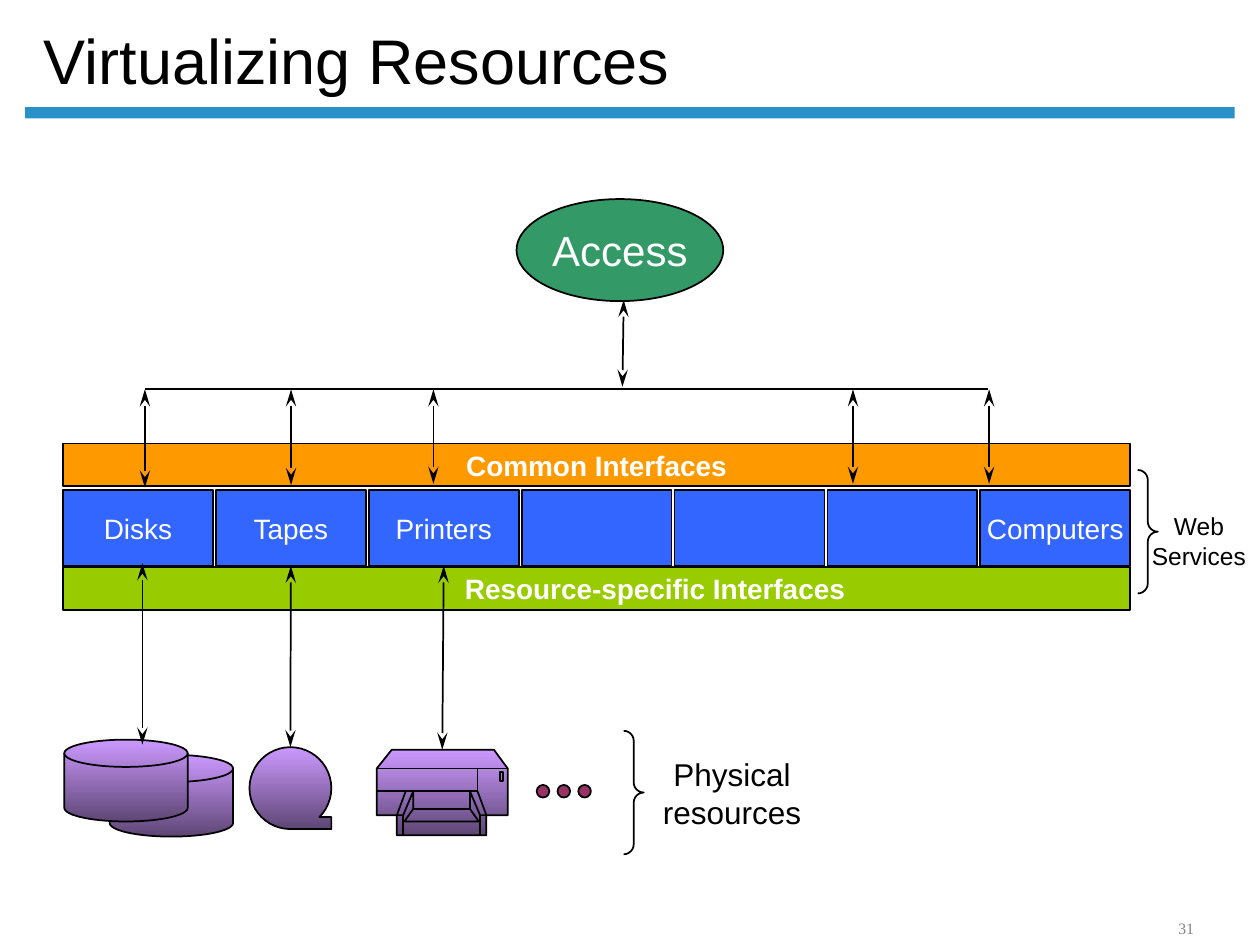
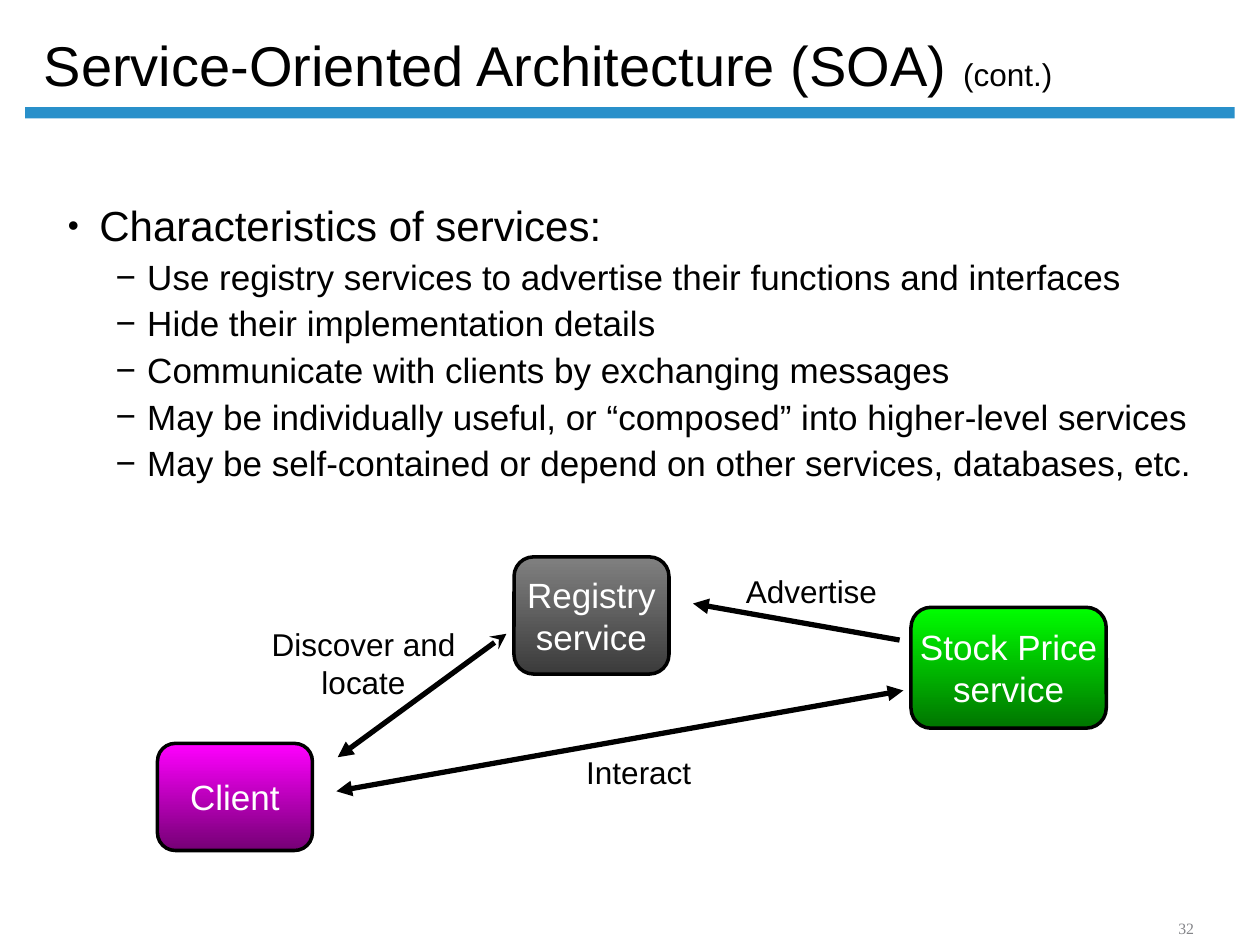
from copy import deepcopy

from lxml import etree
from pptx import Presentation
from pptx.dml.color import RGBColor
from pptx.enum.shapes import MSO_CONNECTOR, MSO_SHAPE
from pptx.enum.text import MSO_ANCHOR, MSO_AUTO_SIZE, PP_ALIGN
from pptx.oxml.ns import qn
from pptx.util import Inches, Pt

STRAIGHT = MSO_CONNECTOR.STRAIGHT
RECT = MSO_SHAPE.RECTANGLE
ROUND_RECT = MSO_SHAPE.ROUNDED_RECTANGLE
ELLIPSE = MSO_SHAPE.OVAL
DISK = MSO_SHAPE.FLOWCHART_MAGNETIC_DISK
TAPE = MSO_SHAPE.FLOWCHART_SEQUENTIAL_ACCESS_STORAGE
BRACE = MSO_SHAPE.RIGHT_BRACE
TOP, MIDDLE, BOTTOM = MSO_ANCHOR.TOP, MSO_ANCHOR.MIDDLE, MSO_ANCHOR.BOTTOM
FIT_TEXT = MSO_AUTO_SIZE.SHAPE_TO_FIT_TEXT
LEFT, CENTER = PP_ALIGN.LEFT, PP_ALIGN.CENTER

COLORS = {
    "black": "000000", "white": "FFFFFF", "band": "2990CA", "number": "848589",
    "access": "339966", "specific": "99CC00", "common": "FF9900",
    "resource": "3366FF", "dot": "993366",
    "device": ("CC99FF", "5E4675"), "stock": ("00FF00", "007500"),
    "registry": ("808080", "3B3B3B"), "client": ("FF00FF", "750075"),
}
TEXT_INSETS = (0.1, 0.05)

CHARACTERISTICS = [
    "Use registry services to advertise their functions and interfaces",
    "Hide their implementation details",
    "Communicate with clients by exchanging messages",
    "May be individually useful, or “composed” into higher-level services",
    "May be self-contained or depend on other services, databases, etc.",
]
PRINTER_OUTLINE = [
    (3.11, 5.95), (3.92, 5.95), (4.03, 6.1), (4.03, 6.47), (3.86, 6.47),
    (3.86, 6.63), (3.15, 6.63), (3.15, 6.47), (2.99, 6.47), (2.99, 6.1),
    (3.11, 5.95),
]
PRINTER_DETAILS = [
    [(2.99, 6.1), (4.03, 6.1)],
    [(3.79, 6.1), (3.79, 6.28), (2.99, 6.28)],
    [(3.2, 6.47), (3.2, 6.63)],
    [(3.81, 6.47), (3.81, 6.63)],
    [(3.73, 6.42), (3.73, 6.28), (3.81, 6.47), (3.86, 6.47), (3.79, 6.28)],
    [(3.73, 6.42), (3.8, 6.52), (3.21, 6.52), (3.28, 6.42), (3.28, 6.28),
     (3.2, 6.47), (3.15, 6.47), (3.22, 6.28)],
    [(3.97, 6.13), (3.99, 6.13), (3.99, 6.2), (3.97, 6.2), (3.97, 6.13)],
    [(3.28, 6.42), (3.73, 6.42)],
]


def rgb(name):
    """Return the named colour."""
    return RGBColor.from_string(COLORS[name])


def paint(sp, fill=None, line="black", width=1):
    """Set the fill and line of a shape and drop its shadow."""
    sp.shadow.inherit = False
    if fill is None:
        sp.fill.background()
    elif isinstance(COLORS[fill], tuple):
        sp.fill.gradient()
        sp.fill.gradient_angle = 270
        for stop, value in zip(sp.fill.gradient_stops, COLORS[fill]):
            stop.color.rgb = RGBColor.from_string(value)
    else:
        sp.fill.solid()
        sp.fill.fore_color.rgb = rgb(fill)
    if line:
        sp.line.color.rgb = rgb(line)
        sp.line.width = Pt(width)
    else:
        sp.line.fill.background()


def write(tf, text, p=None, size=18, color="black", font="Arial", bold=False,
          align=CENTER):
    """Write text into the first paragraph, or add it to the given one."""
    if p is None:
        p = tf.paragraphs[0]
        p.alignment = align
    for i, line in enumerate(text.split("\n")):
        if i:
            p.add_line_break()
        r = p.add_run()
        r.text = line
        r.font.name, r.font.size, r.font.bold = font, Pt(size), bold
        r.font.color.rgb = rgb(color)
        for br in p._p.findall(qn("a:br")):
            if len(br) == 0:
                br.append(deepcopy(r.font._element))
    return p


def set_frame(tf, anchor=TOP, insets=(0, 0), wrap=False):
    """Set the anchor, insets and wrapping of a text frame."""
    tf.vertical_anchor = anchor
    tf.margin_left = tf.margin_right = Inches(insets[0])
    tf.margin_top = tf.margin_bottom = Inches(insets[1])
    tf.word_wrap = wrap
    return tf


def add_box(s, kind, at, fill=None, text="", line="black", width=1, **fmt):
    """Add a preset shape with optional centred text."""
    sp = s.shapes.add_shape(kind, *map(Inches, at))
    paint(sp, fill, line, width)
    if text:
        write(set_frame(sp.text_frame, MIDDLE), text, color="white", **fmt)
    return sp


def add_label(s, at, text, anchor=TOP, insets=(0, 0), wrap=False, **fmt):
    """Add a text box, fitted to its text unless it wraps."""
    tf = s.shapes.add_textbox(*map(Inches, at)).text_frame
    set_frame(tf, anchor, insets, wrap)
    if not wrap:
        tf.auto_size = FIT_TEXT
    return write(tf, text, **fmt)


def add_line(s, start, end, head=None, tail=None, width=1, length="med"):
    """Add a straight line with optional arrowheads."""
    sp = s.shapes.add_connector(STRAIGHT, *map(Inches, (*start, *end)))
    sp.line.color.rgb = rgb("black")
    sp.line.width = Pt(width)
    ln = sp.line._get_or_add_ln()
    for tag, kind in (("a:headEnd", head), ("a:tailEnd", tail)):
        if kind:
            etree.SubElement(ln, qn(tag), type=kind, w="med", len=length)
    etree.SubElement(sp._element.spPr, qn("a:effectLst"))
    return sp


def add_outline(s, contours, fill=None):
    """Add one freeform made of several open contours."""
    first = contours[0][0]
    builder = s.shapes.build_freeform(*map(Inches, first))
    for contour in contours:
        points = [tuple(map(Inches, point)) for point in contour]
        if contour is not contours[0]:
            builder.move_to(*points[0])
        builder.add_line_segments(points[1:], close=False)
    paint(builder.convert_to_shape(), fill)


def add_brace(s, left, top):
    """Add a right brace."""
    add_box(s, BRACE, (left, top, 0.16, 0.98)).adjustments[0] = 0.5


def set_indent(p, left, hanging=0):
    """Set the left and first-line indents of a paragraph."""
    pPr = p._p.get_or_add_pPr()
    pPr.set("marL", str(Inches(left)))
    pPr.set("indent", str(-Inches(hanging)))
    return pPr


def add_bullet(tf, p, text, char, left, scale, size, before, after):
    """Write a bulleted paragraph."""
    pPr = set_indent(p, left, 0.25)
    color = etree.SubElement(pPr, qn("a:buClr"))
    etree.SubElement(color, qn("a:srgbClr"), val=COLORS["black"])
    etree.SubElement(pPr, qn("a:buSzPct"), val=str(scale * 1000))
    etree.SubElement(pPr, qn("a:buFont"), typeface="Arial")
    etree.SubElement(pPr, qn("a:buChar"), char=char)
    p.alignment = LEFT
    p.line_spacing = 0.9
    p.space_before, p.space_after = Pt(before), Pt(after)
    write(tf, text, p=p, size=size)


def add_slide(prs, title, number, size, suffix=""):
    """Add a slide with its band, title and number."""
    s = prs.slides.add_slide(prs.slide_layouts[6])
    add_box(s, RECT, (0.2, 0.85, 9.6, 0.09), "band", line=None)
    p = add_label(s, (0.25, 0.13, 8.56, 0.7), title, BOTTOM, TEXT_INSETS, True,
                  size=size, align=LEFT)
    p.line_spacing = 0.9
    if suffix:
        write(None, suffix, p=p)
    add_label(s, (9, 7.25, 0.83, 0.24), str(number), BOTTOM, TEXT_INSETS, True,
              size=9, color="number", font="Times New Roman")
    return s


def build_resources(prs):
    """Build the slide on virtualizing resources."""
    s = add_slide(prs, "Virtualizing Resources", 31, 36)
    both = {"head": "stealth", "tail": "stealth", "length": "lg"}
    left, width, cell_width = 0.5, 8.47, 1.19

    add_box(s, ELLIPSE, (4.1, 1.58, 1.64, 0.81), "access", "Access", size=24)
    specific = add_box(s, RECT, (left, 4.5, width, 0.34), "specific",
                       "Resource-specific Interfaces", size=16, bold=True, align=LEFT)
    specific.text_frame.word_wrap = True
    set_indent(specific.text_frame.paragraphs[0], 3.19)
    add_box(s, RECT, (left, 3.52, width, 0.34), "common", "Common Interfaces",
            size=16, bold=True)

    for x, y in ((0.87, 5.99), (0.51, 5.87)):
        add_box(s, DISK, (x, y, 0.98, 0.65), "device")
    tape = add_box(s, TAPE, (1.98, 5.93, 0.65, 0.65), "device")

    names = ["Disks", "Tapes", "Printers", "", "", "", "Computers"]
    step = (width - cell_width) / (len(names) - 1)
    cells = [add_box(s, RECT, (left + i * step, 3.89, cell_width, 0.6),
                     "resource", name, size=16)
             for i, name in enumerate(names)]

    bus = 3.09
    add_line(s, (7.84, bus), (1.15, bus))
    for x, y in ((1.15, 3.87), (2.31, 3.85), (3.44, 3.84), (6.77, 3.84), (7.85, 3.84)):
        add_line(s, (x, bus), (x, y), **both)
    add_line(s, (4.95, 2.38), (4.94, 3.07), **both)
    add_line(s, (1.13, 4.47), (1.13, 5.91), **both)
    to_tape = add_line(s, (2.3, 4.49), (2.3, 5.93), **both)
    to_tape.begin_connect(cells[1], 2)
    to_tape.end_connect(tape, 0)
    to_printer = add_line(s, (3.51, 4.49), (3.51, 5.95), **both)
    to_printer.begin_connect(cells[2], 2)

    for i in range(3):
        add_box(s, ELLIPSE, (4.26 + i * 0.165, 6.23, 0.1, 0.1), "dot")
    add_label(s, (5.21, 5.99, 1.2, 0.6), "Physical\nresources")
    add_label(s, (9.09, 4.06, 0.85, 0.47), "Web\nServices", size=14)
    add_brace(s, 9.03, 3.73)
    add_brace(s, 4.95, 5.8)
    add_outline(s, [PRINTER_OUTLINE], "device")
    add_outline(s, PRINTER_DETAILS)


def build_services(prs):
    """Build the slide on service-oriented architecture."""
    s = add_slide(prs, "Service-Oriented Architecture (SOA) ", 32, 32, "(cont.)")
    tf = s.shapes.add_textbox(*map(Inches, (0.44, 1.58, 9.31, 2.5))).text_frame
    set_frame(tf, TOP, TEXT_INSETS, True)
    add_bullet(tf, tf.paragraphs[0], "Characteristics of services:", "•", 0.25,
               75, 24, 0, 3)
    for text in CHARACTERISTICS:
        p = tf.add_paragraph()
        p.level = 1
        add_bullet(tf, p, text, "−", 0.63, 100, 20, 2.5, 2.5)

    for at, fill, text in (
        ((7.23, 4.82, 1.55, 0.96), "stock", "Stock Price\nservice"),
        ((4.08, 4.42, 1.23, 0.93), "registry", "Registry\nservice"),
        ((1.25, 5.9, 1.23, 0.85), "client", "Client"),
    ):
        add_box(s, ROUND_RECT, at, fill, text, width=2, size=20)

    for start, end, head, at, text, wrap in (
        ((7.14, 5.08), (5.5, 4.79), None, (5.84, 4.54, 1.2, 0.3), "Advertise", False),
        ((4.02, 5.03), (2.68, 6.01), "stealth", (2.01, 4.96, 1.75, 0.6),
         "Discover and locate", True),
        ((7.17, 5.48), (2.67, 6.28), "triangle", (4.57, 5.98, 1, 0.3),
         "Interact", False),
    ):
        add_line(s, start, end, head, "triangle", width=3)
        add_label(s, at, text, wrap=wrap)


def main():
    """Build and save the presentation."""
    prs = Presentation()
    prs.slide_width, prs.slide_height = Inches(10), Inches(7.5)
    build_resources(prs)
    build_services(prs)
    prs.save("out.pptx")


if __name__ == "__main__":
    main()
